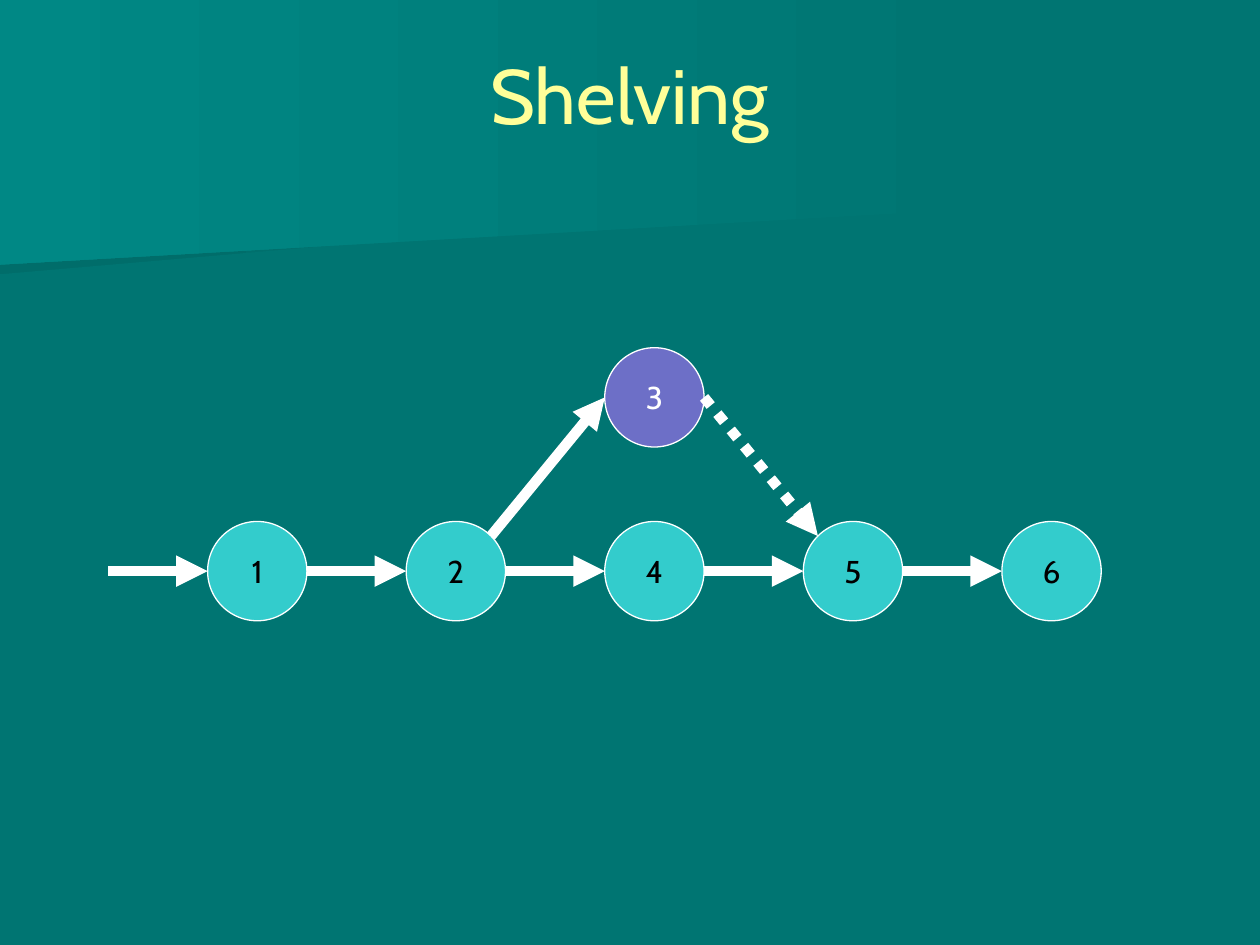
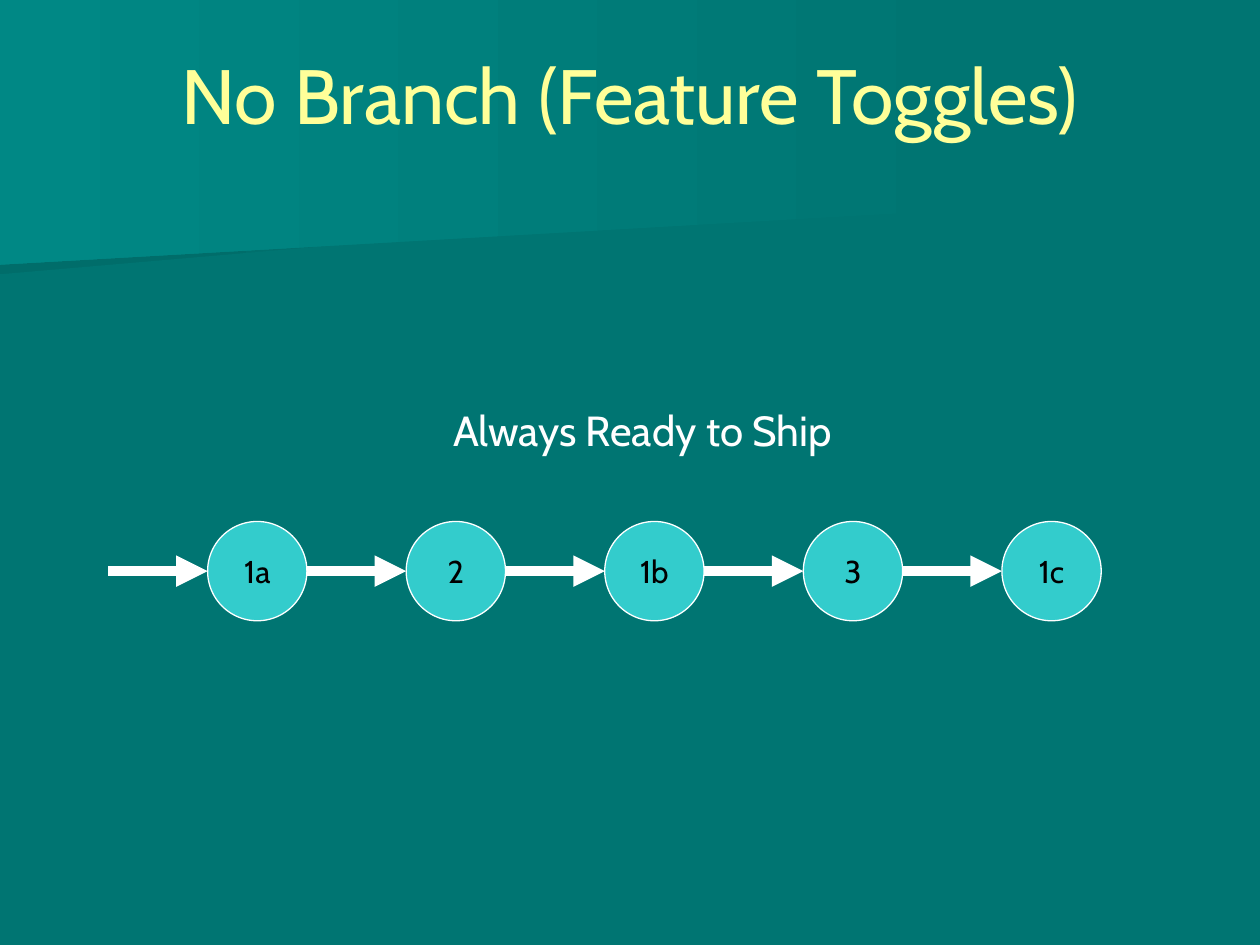
from math import cos, radians, sin

from lxml import etree
from pptx import Presentation, util as u
from pptx.dml.color import RGBColor
from pptx.enum import dml, shapes, text
from pptx.oxml import ns

WIDTH, HEIGHT = u.Inches(10), u.Inches(7.5)
FONT = "Cabin"
COLORS = {
    "background": "007572",
    "band": "008885",
    "band_shade": "006D6A",
    "title": "FFFF99",
    "commit": "33CCCC",
    "shelved": "6D6FC7",
    "dark": "000000",
    "light": "FFFFFF",
}

# Regions as (left, top, width, height), in inches
TITLE_BOX = (0.5, 0.3, 9, 0.89)
CAPTION_BOX = (2.44, 3.16, 5.32, 0.5)
GRAPH_BOX = (0.86, 2.76, 7.88, 2.17)

# The graph is ten columns wide; cells are square and a commit fills one
GRAPH_COLUMNS = 10
SHELF_ROW, MAIN_ROW = 0, 1.75

# Band outlines in percent of the slide's width and height
BANDS = {
    "band_shade": [(77.8, 20.4), (0, 28.93), (0, 13.47), (77.9, 13.47)],
    "band": [(79.2, 21.6), (0, 27.73), (0, 0), (79.2, 0)],
}

FRAME_FORMATS = {
    "margin_left": u.Inches(0.1),
    "margin_right": u.Inches(0.1),
    "margin_top": u.Inches(0.05),
    "margin_bottom": u.Inches(0.05),
}


def color(name):
    return RGBColor.from_string(COLORS[name])


def set_all(target, formats):
    for name, value in formats.items():
        setattr(target, name, value)


def write(shape, words, size, color_name, anchor=text.MSO_ANCHOR.MIDDLE, wrap=True):
    """Put one centred line of text into a shape."""
    frame = shape.text_frame
    set_all(frame, {**FRAME_FORMATS, "vertical_anchor": anchor, "word_wrap": wrap})
    paragraph = frame.paragraphs[0]
    paragraph.alignment = text.PP_ALIGN.CENTER
    run = paragraph.add_run()
    run.text = words
    set_all(run.font, {"name": FONT, "size": u.Pt(size)})
    run.font.color.rgb = color(color_name)


def add_text(slide, box, *args, **options):
    shape = slide.shapes.add_textbox(*map(u.Inches, box))
    write(shape, *args, **options)


def add_bands(slide):
    """Two slanted bands that fade into the background towards the right."""
    for name, points in BANDS.items():
        builder = slide.shapes.build_freeform(
            *points[0], scale=(WIDTH / 100, HEIGHT / 100))
        builder.add_line_segments(points[1:], close=True)
        band = builder.convert_to_shape()
        band.shadow.inherit = False
        band.line.fill.background()
        band.fill.gradient()
        band.fill.gradient_angle = 180
        for stop, stop_color in zip(band.fill.gradient_stops, ("background", name)):
            stop.color.rgb = color(stop_color)


def add_base_slide(presentation, title):
    """Blank slide with the shared background, bands and title."""
    slide = presentation.slides.add_slide(presentation.slide_layouts[6])
    slide.background.fill.solid()
    slide.background.fill.fore_color.rgb = color("background")
    add_bands(slide)
    add_text(slide, TITLE_BOX, title, 44, "title")
    return slide


class CommitGraph:
    """Commits and arrows on a grid of square cells inside a box."""

    def __init__(self, slide, box):
        self.slide = slide
        self.left, self.top = u.Inches(box[0]), u.Inches(box[1])
        self.cell = u.Inches(box[2]) / GRAPH_COLUMNS

    def place(self, column, row):
        return int(self.left + column * self.cell), int(self.top + row * self.cell)

    def rim(self, column, row, degrees):
        """Grid point on a commit's edge, clockwise from its right side."""
        angle = radians(degrees)
        return column + 0.5 + cos(angle) / 2, row + 0.5 + sin(angle) / 2

    def add_commit(self, label, column, row, fill="commit", label_color="dark"):
        size = int(self.cell)
        commit = self.slide.shapes.add_shape(
            shapes.MSO_SHAPE.OVAL, *self.place(column, row), size, size)
        commit.shadow.inherit = False
        commit.fill.solid()
        commit.fill.fore_color.rgb = color(fill)
        commit.line.color.rgb = color("light")
        commit.line.width = u.Pt(0.75)
        write(commit, label, 18, label_color, wrap=False)

    def add_arrow(self, start, end, dash=None):
        arrow = self.slide.shapes.add_connector(
            shapes.MSO_CONNECTOR.STRAIGHT, *self.place(*start), *self.place(*end))
        arrow.line.color.rgb = color("light")
        set_all(arrow.line, {"width": u.Pt(6), "dash_style": dash})
        properties = arrow._element.spPr
        outline = properties.find(ns.qn("a:ln"))
        etree.SubElement(outline, ns.qn("a:tailEnd"), type="triangle")
        etree.SubElement(properties, ns.qn("a:effectLst"))

    def add_main_line(self, labels):
        """Commits in every second column, each led by an arrow."""
        for index, label in enumerate(labels):
            column = 2 * index + 1
            self.add_commit(label, column, MAIN_ROW)
            self.add_arrow((column - 1, MAIN_ROW + 0.5), (column, MAIN_ROW + 0.5))

    def add_shelf(self, label, column):
        """Shelved commit above the main line, with arrows to both neighbours."""
        self.add_commit(label, column, SHELF_ROW, "shelved", "light")
        self.add_arrow(self.rim(column - 2, MAIN_ROW, -45),
                       self.rim(column, SHELF_ROW, 180))
        self.add_arrow(self.rim(column, SHELF_ROW, 0),
                       self.rim(column + 2, MAIN_ROW, -135),
                       dml.MSO_LINE.ROUND_DOT)


def add_shelving_slide(presentation):
    slide = add_base_slide(presentation, "Shelving")
    graph = CommitGraph(slide, GRAPH_BOX)
    graph.add_main_line(["1", "2", "4", "5", "6"])
    graph.add_shelf("3", column=5)


def add_toggles_slide(presentation):
    slide = add_base_slide(presentation, "No Branch (Feature Toggles)")
    CommitGraph(slide, GRAPH_BOX).add_main_line(["1a", "2", "1b", "3", "1c"])
    add_text(slide, CAPTION_BOX, "Always Ready to Ship", 24, "light",
             anchor=text.MSO_ANCHOR.TOP)


def main():
    presentation = Presentation()
    set_all(presentation, {"slide_width": WIDTH, "slide_height": HEIGHT})
    add_shelving_slide(presentation)
    add_toggles_slide(presentation)
    presentation.save("out.pptx")


if __name__ == "__main__":
    main()
